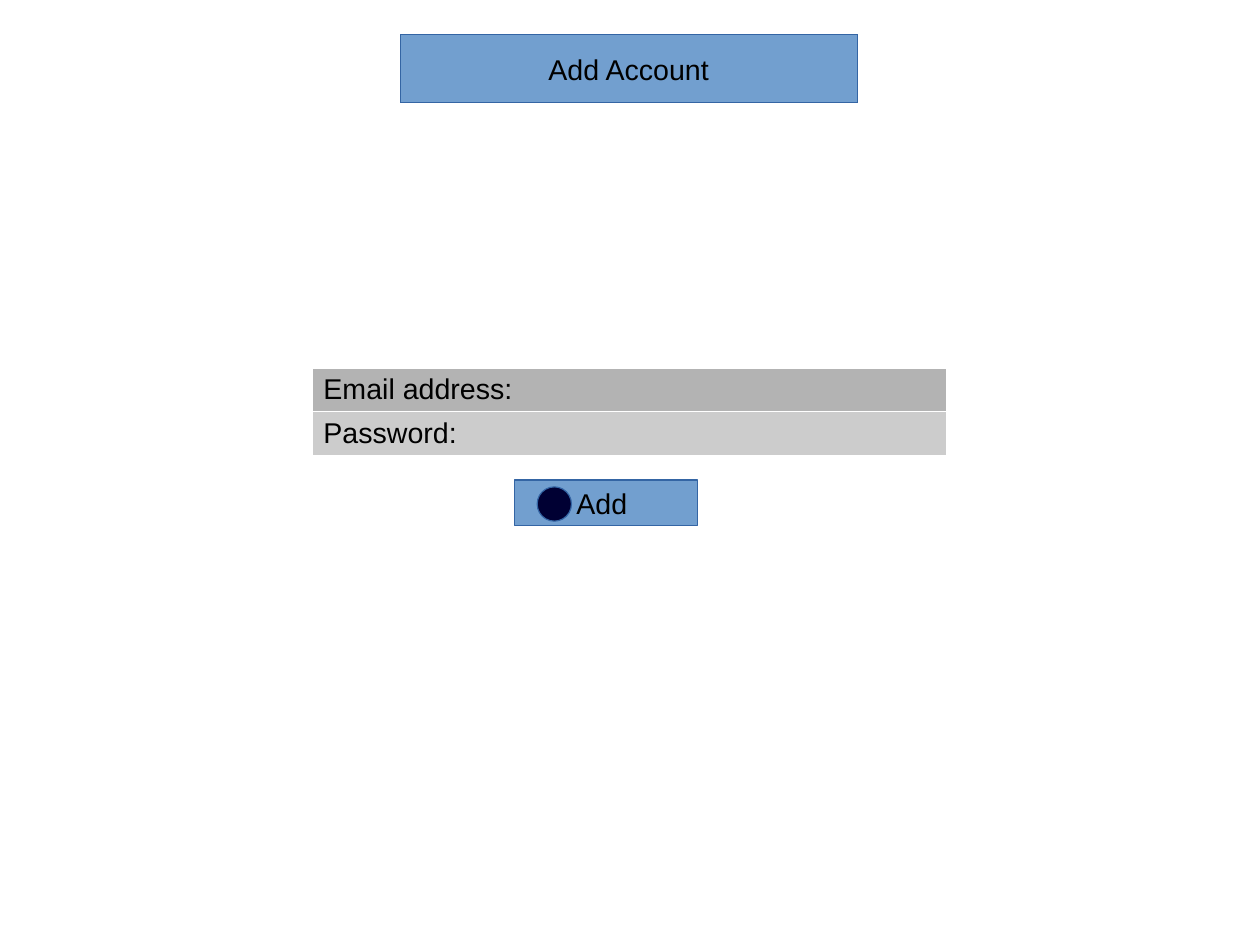
from pptx import Presentation
from pptx.dml.color import RGBColor
from pptx.enum.shapes import MSO_SHAPE as Shape
from pptx.enum.text import MSO_ANCHOR as Anchor, MSO_AUTO_SIZE as AutoSize, PP_ALIGN as Align
from pptx.oxml import parse_xml
from pptx.oxml.ns import nsdecls
from pptx.util import Inches, Pt

COLORS = {
    "button": "729FCF",
    "outline": "3465A4",
    "dot": "000033",
    "email": "B3B3B3",
    "password": "CCCCCC",
    "border": "FFFFFF",
    "text": "000000",
}


def paint(shape, color):
    shape.fill.solid()
    shape.fill.fore_color.rgb = RGBColor.from_string(COLORS[color])
    shape.line.color.rgb = RGBColor.from_string(COLORS["outline"])
    shape.line.width = Pt(0)


def write(frame, text, align):
    frame.margin_left = frame.margin_right = Inches(0.1)
    frame.margin_top = frame.margin_bottom = Inches(0.05)
    paragraph = frame.paragraphs[0]
    paragraph.alignment = align
    run = paragraph.add_run()
    run.text = text
    run.font.size = Pt(18)
    run.font.name = "Arial"
    run.font.color.rgb = RGBColor.from_string(COLORS["text"])


# Page of 28 by 21 cm
prs = Presentation()
prs.slide_width, prs.slide_height = Inches(28 / 2.54), Inches(21 / 2.54)
slide = prs.slides.add_slide(prs.slide_layouts[5])

# Heading bar
heading = slide.shapes.title
heading.left, heading.top = Inches(3.5), Inches(0.3)
heading.width, heading.height = Inches(4), Inches(0.6)

# Account form
form = slide.shapes.add_table(
    2, 1, Inches(2.73), Inches(3.22), Inches(5.55), Inches(0.76)
).table
fields = [("Email address:", "email"), ("Password:", "password")]
for row, (label, color) in enumerate(fields):
    field = form.cell(row, 0)
    write(field.text_frame, label, Align.LEFT)
    field.fill.solid()
    field.fill.fore_color.rgb = RGBColor.from_string(COLORS[color])
    properties = field._tc.get_or_add_tcPr()
    for position, side in enumerate(("lnL", "lnR", "lnT", "lnB")):
        properties.insert(position, parse_xml(
            f'<a:{side} {nsdecls("a")} w="720"><a:solidFill>'
            f'<a:srgbClr val="{COLORS["border"]}"/></a:solidFill></a:{side}>'
        ))

# Add button
add_button = slide.shapes.add_shape(
    Shape.RECTANGLE, Inches(4.5), Inches(4.2), Inches(1.6), Inches(0.4)
)
add_button.shadow.inherit = False

# Heading and button share one look
for bar, label in ((heading, "Add Account"), (add_button, "Add ")):
    paint(bar, "button")
    frame = bar.text_frame
    frame.word_wrap = False
    frame.auto_size = AutoSize.NONE
    frame.vertical_anchor = Anchor.MIDDLE
    write(frame, label, Align.CENTER)

# Dot on the button
dot = slide.shapes.add_shape(
    Shape.OVAL, Inches(4.7), Inches(4.26), Inches(0.3), Inches(0.3)
)
dot.shadow.inherit = False
paint(dot, "dot")

prs.save("out.pptx")
